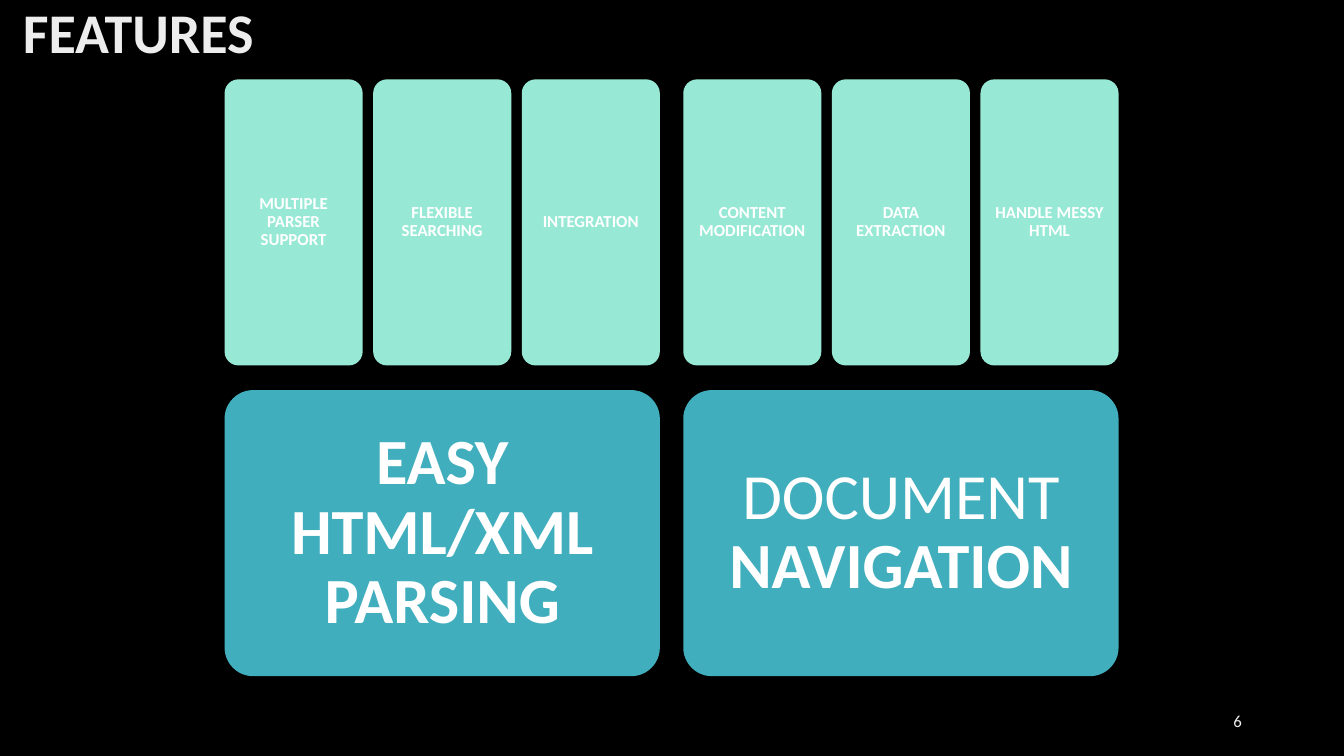
from pptx import Presentation
from pptx import util as u
from pptx.dml.color import RGBColor
from pptx.enum import shapes, text

COLOURS = {
    "background": "000000",
    "heading": "EDEDED",
    "label": "FFFFFF",
    "group": "41AEBD",
    "feature": "97E9D5",
}
FONT = "Calibri"

# Each group: its spans as (wording, bold), then the features above it
GROUPS = [
    ([("EASY HTML/XML PARSING", True)],
     ["MULTIPLE PARSER SUPPORT", "FLEXIBLE SEARCHING", "INTEGRATION"]),
    ([("DOCUMENT ", False), ("NAVIGATION", True)],
     ["CONTENT MODIFICATION", "DATA EXTRACTION", "HANDLE MESSY HTML"]),
]

# Layout in centimetres
LEFT, GROUP_WIDTH, GROUP_PITCH = 5.66, 10.97, 11.56
FEATURE_WIDTH, CARD_HEIGHT = 3.48, 7.21
FEATURE_TOP, GROUP_TOP = 2, 9.83


def colour(name):
    return RGBColor.from_string(COLOURS[name])


def write(box, spans, size, ink="label", align=text.PP_ALIGN.CENTER,
          anchor=text.MSO_ANCHOR.MIDDLE, line_spacing=0.9, inset=None):
    frame = box.text_frame
    frame.word_wrap = True
    frame.vertical_anchor = anchor
    if inset is not None:
        frame.margin_left = frame.margin_right = u.Cm(inset)
        frame.margin_top = frame.margin_bottom = u.Cm(inset)
    para = frame.paragraphs[0]
    para.alignment = align
    para.line_spacing = line_spacing
    for wording, bold in spans:
        span = para.add_run()
        span.text = wording
        span.font.name = FONT
        span.font.size = u.Pt(size)
        span.font.bold = bold
        span.font.color.rgb = colour(ink)


def add_label(page, left, top, width, height, spans, size, **style):
    box = page.shapes.add_textbox(u.Cm(left), u.Cm(top), u.Cm(width), u.Cm(height))
    write(box, spans, size, ink="heading", **style)


def add_card(page, left, top, width, fill, spans, size, inset):
    card = page.shapes.add_shape(shapes.MSO_SHAPE.ROUNDED_RECTANGLE, u.Cm(left),
                                 u.Cm(top), u.Cm(width), u.Cm(CARD_HEIGHT))
    card.adjustments[0] = 0.1
    card.shadow.inherit = False
    card.fill.solid()
    card.fill.fore_color.rgb = colour(fill)
    card.line.fill.background()
    write(card, spans, size, inset=inset)


def main():
    deck = Presentation()
    deck.slide_width, deck.slide_height = u.Cm(33.87), u.Cm(19.05)
    page = deck.slides.add_slide(deck.slide_layouts[6])
    page.background.fill.solid()
    page.background.fill.fore_color.rgb = colour("background")

    # Heading and page number
    add_label(page, 0.33, 0, 9.35, 2.77, [("FEATURES", True)], 40,
              align=text.PP_ALIGN.LEFT, anchor=text.MSO_ANCHOR.TOP)
    add_label(page, 23.93, 17.65, 7.62, 1.02, [("6", False)], 12,
              align=text.PP_ALIGN.RIGHT, line_spacing=1)

    # Groups, each with its row of features above
    for column, (spans, features) in enumerate(GROUPS):
        left = LEFT + column * GROUP_PITCH
        add_card(page, left, GROUP_TOP, GROUP_WIDTH, "group", spans, 46, 0.48)
        step = (GROUP_WIDTH - FEATURE_WIDTH) / (len(features) - 1)
        for index, feature in enumerate(features):
            add_card(page, left + index * step, FEATURE_TOP, FEATURE_WIDTH,
                     "feature", [(feature, True)], 12, 0.12)

    deck.save("out.pptx")


if __name__ == "__main__":
    main()
